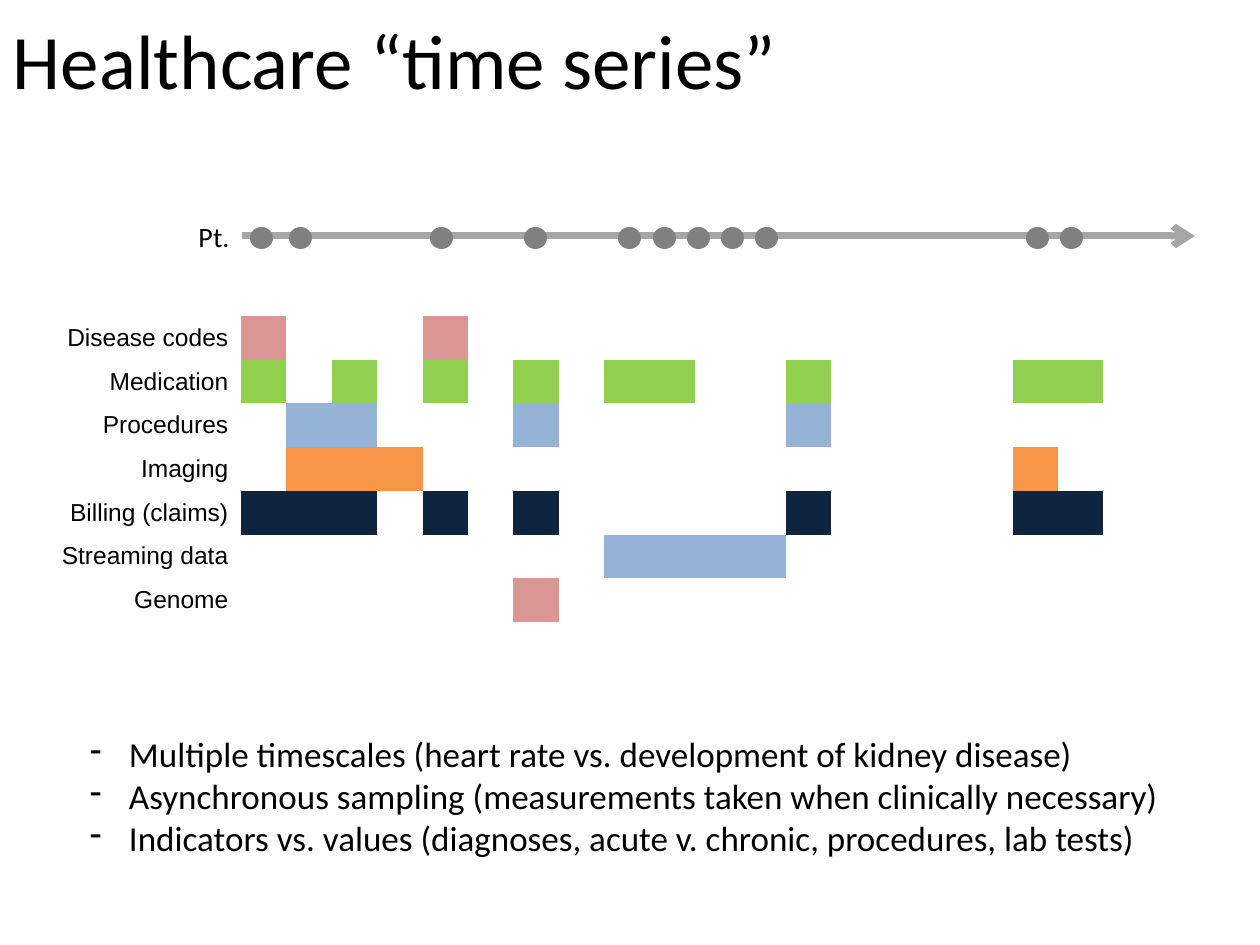
from lxml.etree import SubElement
from pptx import Presentation
from pptx.dml.color import RGBColor
from pptx.enum.shapes import MSO_CONNECTOR, MSO_SHAPE
from pptx.enum.text import MSO_ANCHOR, MSO_AUTO_SIZE, PP_ALIGN
from pptx.oxml.ns import qn
from pptx.util import Pt

SCALE = 914400 / 126
PLAIN = "{2D5ABB26-0587-4C30-8999-92F81FD0307C}"
COLORS = {
    "text": "000000",
    "line": "A6A6A6",
    "dot": "808080",
    "rose": "D99694",
    "green": "92D050",
    "blue": "95B3D7",
    "orange": "F79646",
    "navy": "0F243E",
}
ROWS = [
    ("Disease codes", "rose", [1, 5]),
    ("Medication", "green", [1, 3, 5, 7, 9, 10, 13, 18, 19]),
    ("Procedures", "blue", [2, 3, 7, 13]),
    ("Imaging", "orange", [2, 3, 4, 18]),
    ("Billing (claims)", "navy", [1, 2, 3, 5, 7, 13, 18, 19]),
    ("Streaming data", "blue", [9, 10, 11, 12]),
    ("Genome", "rose", [7]),
]
STEPS = 21
VISITS = [250, 289, 430, 524, 618, 653, 687, 721, 755, 1026, 1060]
POINTS = [
    "Multiple timescales (heart rate vs. development of kidney disease)",
    "Asynchronous sampling (measurements taken when clinically necessary)",
    "Indicators vs. values (diagnoses, acute v. chronic, procedures, lab tests)",
]


def px(num):
    return round(num * SCALE)


def tint(name):
    return RGBColor.from_string(COLORS[name])


class Slide:
    def __init__(self, deck):
        self.slide = deck.slides.add_slide(deck.slide_layouts[5])
        self.shapes = self.slide.shapes
        self.font = "Calibri"

    def add_text(self, para, text, size, font=None, align=PP_ALIGN.LEFT):
        para.alignment = align
        run = para.add_run()
        run.text = text
        run.font.size = Pt(size)
        run.font.name = font or self.font
        run.font.color.rgb = tint("text")

    def frame(self, shape, pad, anchor):
        frame = shape.text_frame
        frame.word_wrap = True
        frame.auto_size = MSO_AUTO_SIZE.NONE
        frame.vertical_anchor = anchor
        frame.margin_left = frame.margin_right = px(pad)
        frame.margin_top = frame.margin_bottom = px(pad)
        return frame

    def title(self, text, box):
        shape = self.shapes.title
        shape.left, shape.top, shape.width, shape.height = map(px, box)
        frame = self.frame(shape, 13, MSO_ANCHOR.TOP)
        self.add_text(frame.paragraphs[0], text, 44)

    def label(self, text, box):
        shape = self.shapes.add_textbox(*map(px, box))
        frame = self.frame(shape, 0, MSO_ANCHOR.MIDDLE)
        self.add_text(frame.paragraphs[0], text, 16, align=PP_ALIGN.CENTER)

    def arrow(self, left, right, y):
        ends = map(px, (left, y, right, y))
        line = self.shapes.add_connector(MSO_CONNECTOR.STRAIGHT, *ends)
        line.line.color.rgb = tint("line")
        line.line.width = Pt(4)
        props = line._element.spPr
        SubElement(props.find(qn("a:ln")), qn("a:tailEnd"), type="arrow")
        SubElement(props, qn("a:effectLst"))

    def dot(self, box):
        shape = self.shapes.add_shape(MSO_SHAPE.OVAL, *map(px, box))
        shape.shadow.inherit = False
        shape.fill.solid()
        shape.fill.fore_color.rgb = tint("dot")
        shape.line.fill.background()

    def grid(self, rows, steps, box, first):
        shape = self.shapes.add_table(len(rows), steps + 1, *map(px, box))
        table = shape.table
        table.first_row = table.horz_banding = False
        table._tbl.tblPr.find(qn("a:tableStyleId")).text = PLAIN
        for col in table.columns:
            col.width = px((box[2] - first) / steps)
        table.columns[0].width = px(first)
        for r, (text, color, marks) in enumerate(rows):
            table.rows[r].height = px(box[3] / len(rows))
            for c in range(steps + 1):
                cell = table.cell(r, c)
                cell.margin_top = cell.margin_bottom = 0
                cell.vertical_anchor = MSO_ANCHOR.MIDDLE
                if c in marks:
                    cell.fill.solid()
                    cell.fill.fore_color.rgb = tint(color)
                else:
                    cell.fill.background()
            para = table.cell(r, 0).text_frame.paragraphs[0]
            self.add_text(para, text, 14, "Arial", PP_ALIGN.RIGHT)

    def bullets(self, lines, box):
        shape = self.shapes.add_textbox(*map(px, box))
        frame = self.frame(shape, 6, MSO_ANCHOR.TOP)
        frame.margin_left = frame.margin_right = px(13)
        for i, text in enumerate(lines):
            para = frame.add_paragraph() if i else frame.paragraphs[0]
            self.add_text(para, text, 20)
            props = para._p.get_or_add_pPr()
            props.set("marL", str(px(39)))
            props.set("indent", str(-px(39)))
            SubElement(props, qn("a:buChar"), char="-")


def main():
    deck = Presentation()
    deck.slide_width, deck.slide_height = px(1260), px(945)
    page = Slide(deck)
    page.title("Healthcare “time series”", (0, 0, 1260, 157))
    page.arrow(242, 1195, 236)
    page.label("Pt.", (185, 214, 58, 44))
    page.grid(ROWS, STEPS, (16, 316, 1179, 306), 225)
    for left in VISITS:
        page.dot((left, 227, 23, 22))
    page.bullets(POINTS, (77, 727, 1105, 140))
    deck.save("out.pptx")


if __name__ == "__main__":
    main()
